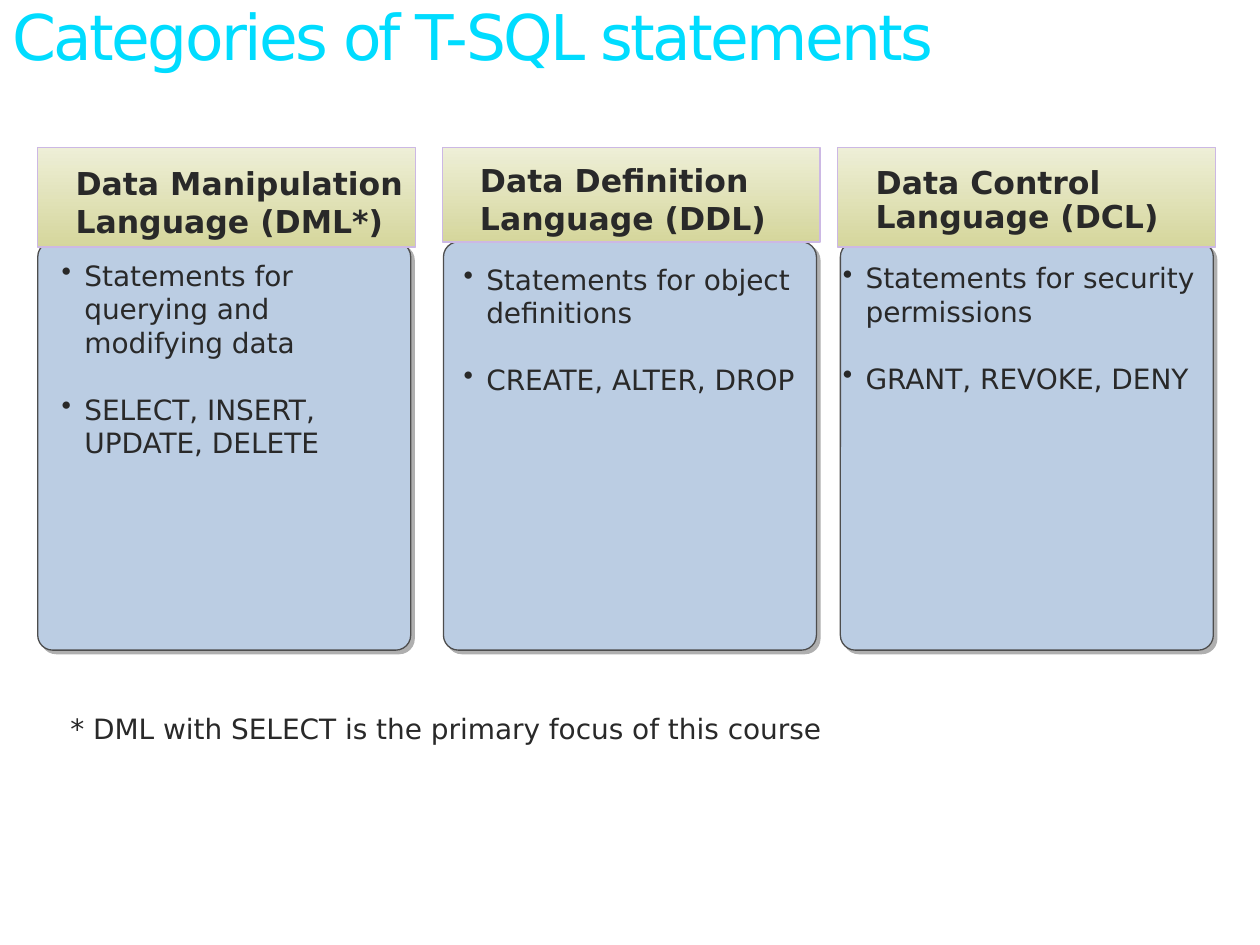
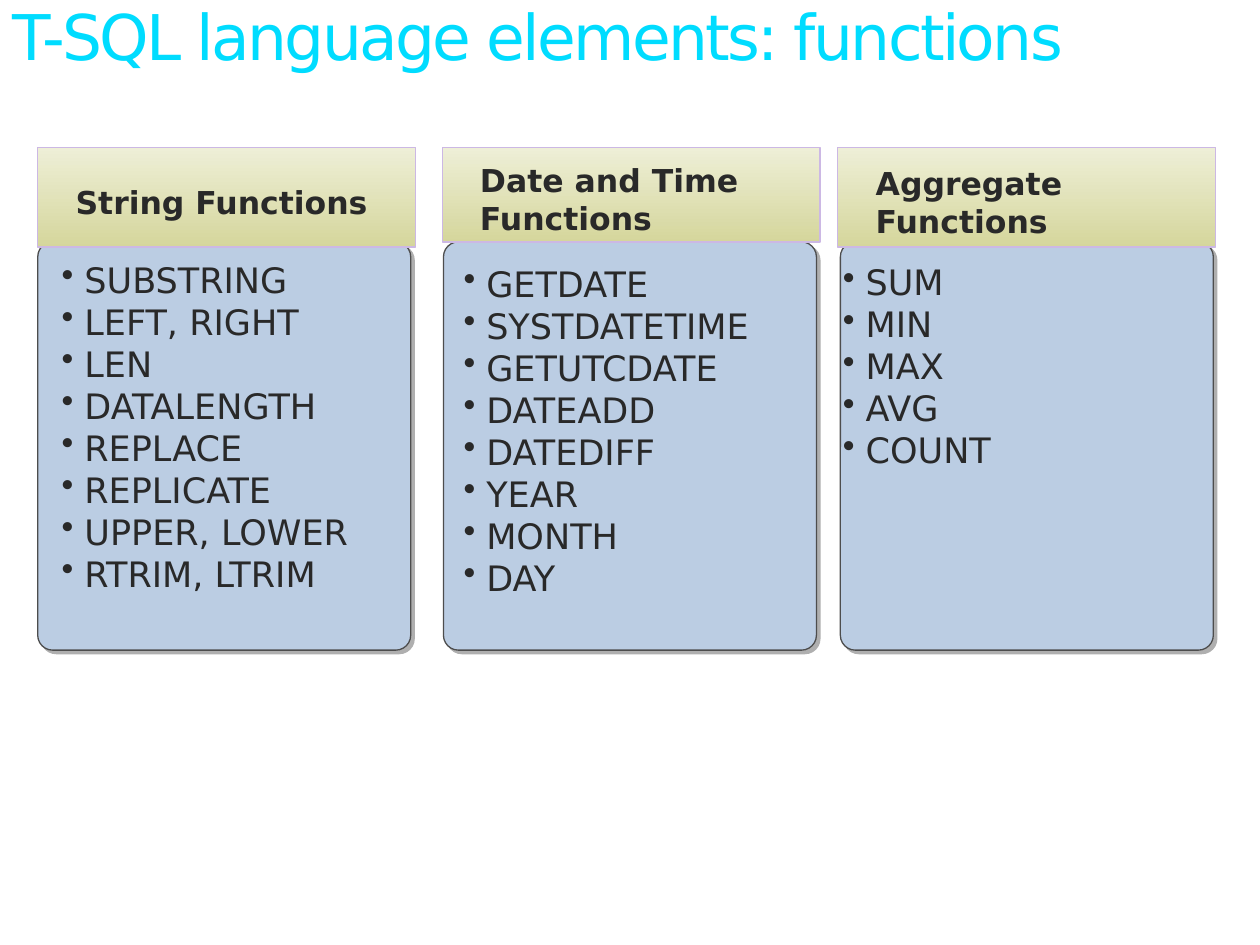
from dataclasses import dataclass

from lxml import etree
from pptx import Presentation
from pptx import util as u
from pptx.dml.color import RGBColor
from pptx.enum import shapes, text
from pptx.oxml import ns


@dataclass(frozen=True)
class Theme:
    """Colours, font and type sizes shared by the slides."""
    font: str = "DejaVu Sans"
    title: str = "00DCFF"
    ink: str = "292929"
    card: str = "BBCDE3"
    card_line: str = "4D4D4D"
    shadow: str = "AFAFAF"
    header_top: str = "EEEFD7"
    header_bottom: str = "D5D69C"
    header_line: str = "CCB8E4"
    title_size: int = 36
    header_size: int = 18
    body_size: int = 16
    list_size: int = 20
    line_width: float = 0.75


@dataclass(frozen=True)
class Column:
    """Grid places of one card with its header band and its list."""
    card_left: float
    header_left: float
    header_height: float
    list_left: float
    list_top: float
    list_width: float


THEME = Theme()
GRID_COLUMNS, GRID_ROWS = 100, 75
SLIDE_WIDTH, SLIDE_HEIGHT = u.Inches(10), u.Inches(7.5)
CARD_TOP, CARD_WIDTH, CARD_HEIGHT = 19.2, 29.6, 32.4
HEADER_TOP, HEADER_WIDTH = 11.7, 30
LIST_HEIGHT = 29.8
COLUMNS = (
    Column(3, 3, 7.9, 4.9, 20.5, 26.4),
    Column(35.2, 35.1, 7.5, 36.8, 20.8, 28),
    Column(66.7, 66.5, 7.9, 66.9, 20.7, 28.7),
)
CATEGORIES = (
    ("Data Manipulation Language (DML*)", 1,
     ("Statements for querying and modifying data", "SELECT, INSERT, UPDATE, DELETE")),
    ("Data Definition Language (DDL)", 1,
     ("Statements for object definitions", "CREATE, ALTER, DROP")),
    ("Data Control Language (DCL)", 0.9,
     ("Statements for security permissions", "GRANT, REVOKE, DENY")),
)
FUNCTIONS = (
    ("String Functions", 1,
     ("SUBSTRING", "LEFT, RIGHT", "LEN", "DATALENGTH", "REPLACE", "REPLICATE",
      "UPPER, LOWER", "RTRIM, LTRIM")),
    ("Date and Time Functions", 1,
     ("GETDATE", "SYSTDATETIME", "GETUTCDATE", "DATEADD", "DATEDIFF", "YEAR",
      "MONTH", "DAY")),
    ("Aggregate Functions", 1, ("SUM", "MIN", "MAX", "AVG", "COUNT")),
)


def place(left, top, width, height):
    """Turn grid columns and rows into slide lengths."""
    column, row = SLIDE_WIDTH / GRID_COLUMNS, SLIDE_HEIGHT / GRID_ROWS
    return [u.Emu(round(length)) for length in
            (left * column, top * row, width * column, height * row)]


def style(paragraph, size, color=THEME.ink, bold=False):
    """Set the font of a left-aligned paragraph."""
    paragraph.alignment = text.PP_ALIGN.LEFT
    font = paragraph.font
    font.name, font.size, font.bold = THEME.font, u.Pt(size), bold
    font.color.rgb = RGBColor.from_string(color)


def set_insets(frame, left, top, right, bottom):
    """Set the inner margins of a text frame in inches."""
    frame.margin_left, frame.margin_top = u.Inches(left), u.Inches(top)
    frame.margin_right, frame.margin_bottom = u.Inches(right), u.Inches(bottom)


def add_box(slide, kind, color, *area):
    """Add an outlined preset shape without the default shadow."""
    shape = slide.shapes.add_shape(kind, *place(*area))
    shape.shadow.inherit = False
    shape.line.color.rgb = RGBColor.from_string(color)
    shape.line.width = u.Pt(THEME.line_width)
    return shape


def add_text(slide, *area):
    """Add a wrapping text box and return its frame."""
    frame = slide.shapes.add_textbox(*place(*area)).text_frame
    frame.word_wrap = True
    return frame


def add_title(slide, title, width):
    """Add the slide title with tightened letters."""
    paragraph = add_text(slide, 0, 0, width, 8.1).paragraphs[0]
    run = paragraph.add_run()
    run.text = title
    style(paragraph, THEME.title_size, THEME.title)
    paragraph.line_spacing = 0.9
    run.font._element.set("spc", "-150")


def add_card(slide, column):
    """Add a rounded card with a hard offset shadow."""
    card = add_box(slide, shapes.MSO_SHAPE.ROUNDED_RECTANGLE, THEME.card_line,
                   column.card_left, CARD_TOP, CARD_WIDTH, CARD_HEIGHT)
    card.adjustments[0] = 0.04
    card.fill.solid()
    card.fill.fore_color.rgb = RGBColor.from_string(THEME.card)
    effects = card._element.spPr.find(ns.qn("a:effectLst"))
    shadow = etree.SubElement(effects, ns.qn("a:outerShdw"), blurRad="0",
                              dist=str(u.Pt(2.8)), dir="2700000",
                              algn="ctr", rotWithShape="0")
    etree.SubElement(shadow, ns.qn("a:srgbClr"), val=THEME.shadow)


def add_header(slide, column, heading, spacing):
    """Add the gradient band that heads a card."""
    band = add_box(slide, shapes.MSO_SHAPE.RECTANGLE, THEME.header_line,
                   column.header_left, HEADER_TOP, HEADER_WIDTH, column.header_height)
    band.fill.gradient()
    band.fill.gradient_angle = 270
    for stop, color in zip(band.fill.gradient_stops,
                           (THEME.header_top, THEME.header_bottom)):
        stop.color.rgb = RGBColor.from_string(color)
    frame = band.text_frame
    frame.word_wrap = True
    frame.vertical_anchor = text.MSO_ANCHOR.MIDDLE
    set_insets(frame, 0.3, 0.12, 0.1, 0.05)
    paragraph = frame.paragraphs[0]
    paragraph.text = heading
    paragraph.line_spacing = spacing
    style(paragraph, THEME.header_size, bold=True)


def add_list(slide, column, items, size, gap):
    """Add the bulleted list of a card."""
    frame = add_text(slide, column.list_left, column.list_top,
                     column.list_width, LIST_HEIGHT)
    set_insets(frame, 0, 0, 0, 0)
    for index, item in enumerate(items):
        paragraph = frame.add_paragraph() if index else frame.paragraphs[0]
        paragraph.text = item
        style(paragraph, size)
        paragraph.space_after = u.Pt(gap)
        properties = paragraph._p.get_or_add_pPr()
        indent = u.Inches(0.18)
        properties.set("marL", str(indent))
        properties.set("indent", str(-indent))
        bullet = etree.Element(ns.qn("a:buChar"), char="•")
        properties.find(ns.qn("a:defRPr")).addprevious(bullet)


def add_footnote(slide, note):
    """Add the remark below the cards."""
    paragraph = add_text(slide, 4.6, 56, 63.6, 3.7).paragraphs[0]
    paragraph.text = note
    style(paragraph, THEME.body_size)


def add_card_slide(presentation, title, title_width, topics, size, gap):
    """Add a slide of three headed cards and return it."""
    slide = presentation.slides.add_slide(presentation.slide_layouts[6])
    for column, (heading, spacing, items) in zip(COLUMNS, topics):
        add_card(slide, column)
        add_list(slide, column, items, size, gap)
        add_header(slide, column, heading, spacing)
    add_title(slide, title, title_width)
    return slide


def main():
    """Build and save the presentation."""
    presentation = Presentation()
    presentation.slide_width, presentation.slide_height = SLIDE_WIDTH, SLIDE_HEIGHT
    categories = add_card_slide(presentation, "Categories of T-SQL statements", 85,
                                CATEGORIES, THEME.body_size, 19)
    add_footnote(categories, "* DML with SELECT is the primary focus of this course")
    add_card_slide(presentation, "T-SQL language elements: functions", 87.5,
                   FUNCTIONS, THEME.list_size, 0)
    presentation.save("out.pptx")


if __name__ == "__main__":
    main()
